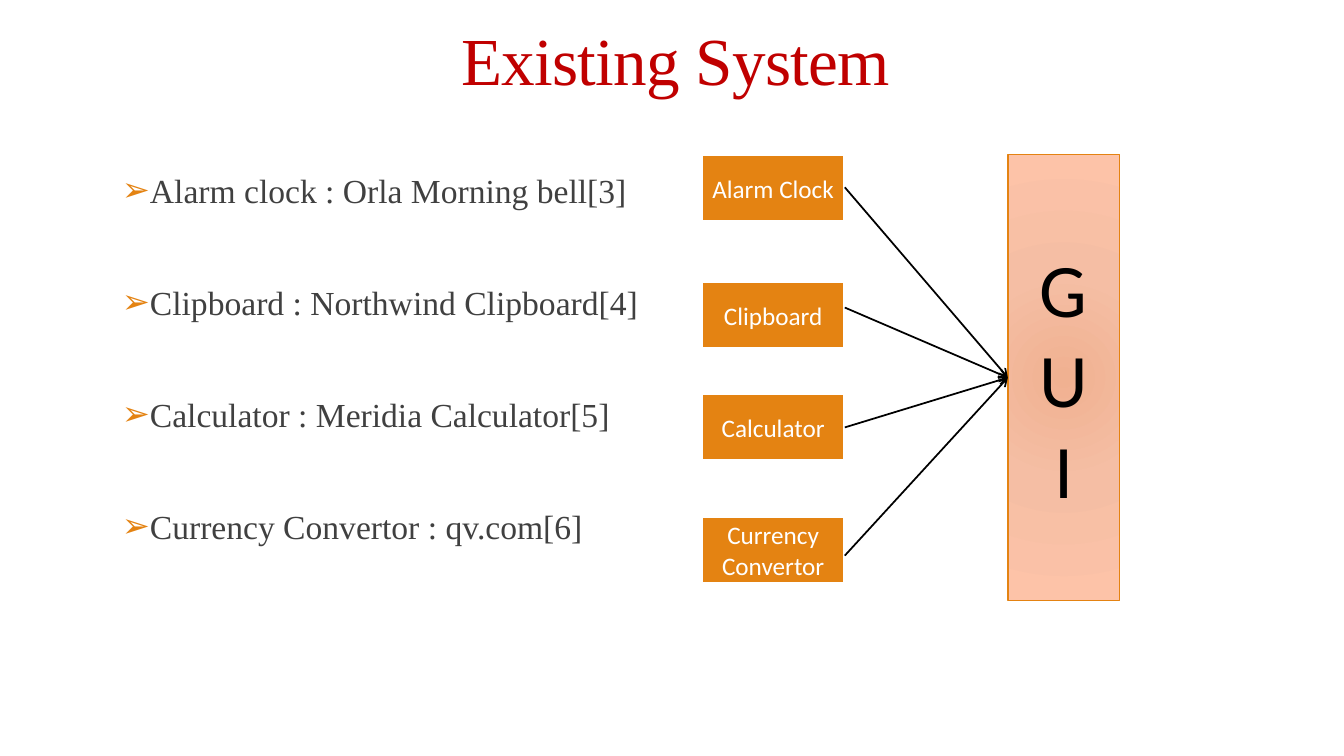
from dataclasses import dataclass

from lxml.etree import SubElement
from pptx import Presentation
from pptx.dml.color import RGBColor
from pptx.enum.shapes import MSO_CONNECTOR, MSO_SHAPE
from pptx.enum.text import MSO_ANCHOR, PP_ALIGN
from pptx.oxml.ns import qn
from pptx.util import Cm, Pt


@dataclass(frozen=True)
class Theme:
    title_color: str = "C00000"
    text_color: str = "404040"
    accent: str = "E48312"
    white: str = "FFFFFF"
    black: str = "000000"
    panel_stops: tuple = ((0, "F0B191"), (45, "F5BEA4"), (100, "FDC3A8"))
    serif: str = "Times New Roman"
    sans: str = "Calibri"
    title_size: int = 48
    body_size: int = 24
    box_size: int = 18
    panel_size: int = 54


THEME = Theme()

EXISTING_TOOLS = (
    "Alarm clock : Orla Morning bell[3]",
    "Clipboard : Northwind Clipboard[4]",
    "Calculator : Meridia Calculator[5]",
    "Currency Convertor : qv.com[6]",
)

# Module name, top of its box and start of its arrow, in cm below the diagram's top
MODULES = (
    ("Alarm Clock", 0, 0.83),
    ("Clipboard", 3.2, 3.86),
    ("Calculator", 6.02, 6.88),
    ("Currency Convertor", 9.12, 10.11),
)


def rgb(color):
    return RGBColor.from_string(color)


def format_runs(paragraph, font_name, size, color):
    for run in paragraph.runs:
        run.font.name = font_name
        run.font.size = Pt(size)
        run.font.color.rgb = rgb(color)


def add_title(slide, text, left, top, width, height):
    title = slide.shapes.title
    title.left, title.top, title.width, title.height = left, top, width, height
    frame = title.text_frame
    frame.text = text
    frame.vertical_anchor = MSO_ANCHOR.BOTTOM
    paragraph = frame.paragraphs[0]
    paragraph.alignment = PP_ALIGN.CENTER
    paragraph.line_spacing = 0.85
    format_runs(paragraph, THEME.serif, THEME.title_size, THEME.title_color)
    paragraph.runs[0].font._element.set("spc", "-50")


def add_bullet(paragraph, symbol, color):
    properties = paragraph._p.get_or_add_pPr()
    properties.set("marL", str(Cm(0.25)))
    properties.set("indent", str(-Cm(0.25)))
    bullet_color = SubElement(properties, qn("a:buClr"))
    SubElement(bullet_color, qn("a:srgbClr"), val=color)
    SubElement(properties, qn("a:buFont"), typeface=THEME.sans)
    SubElement(properties, qn("a:buChar"), char=symbol)


def add_tool_list(slide, tools, left, top, width, height):
    frame = slide.shapes.add_textbox(left, top, width, height).text_frame
    frame.word_wrap = True
    frame.margin_left = frame.margin_right = 0
    frame.text = "\n".join(tools)
    for paragraph in frame.paragraphs:
        paragraph.line_spacing = 0.9
        paragraph.space_before = Pt(0)
        paragraph.space_after = Pt(54)
        add_bullet(paragraph, "➢", THEME.accent)
        format_runs(paragraph, THEME.serif, THEME.body_size, THEME.text_color)


def add_box(slide, text, left, top, width, height, size, color):
    box = slide.shapes.add_shape(MSO_SHAPE.RECTANGLE, left, top, width, height)
    box.shadow.inherit = False
    frame = box.text_frame
    frame.word_wrap = True
    frame.vertical_anchor = MSO_ANCHOR.MIDDLE
    frame.text = text
    for paragraph in frame.paragraphs:
        paragraph.alignment = PP_ALIGN.CENTER
        format_runs(paragraph, THEME.sans, size, color)
    return box


def style_line(line, color, width):
    line.color.rgb = rgb(color)
    line.width = Pt(width)


def fill_radial(shape, stops):
    shape.fill.gradient()
    gradient = shape._element.spPr.find(qn("a:gradFill"))
    for child in list(gradient):
        gradient.remove(child)
    stop_list = SubElement(gradient, qn("a:gsLst"))
    for percent, color in stops:
        stop = SubElement(stop_list, qn("a:gs"), pos=str(percent * 1000))
        SubElement(stop, qn("a:srgbClr"), val=color)
    circle = SubElement(gradient, qn("a:path"), {"path": "circle"})
    SubElement(circle, qn("a:fillToRect"), dict.fromkeys("ltrb", "100000"))


def add_arrow(slide, start_x, start_y, end_x, end_y):
    arrow = slide.shapes.add_connector(
        MSO_CONNECTOR.STRAIGHT, start_x, start_y, end_x, end_y)
    style_line(arrow.line, THEME.black, 1.25)
    properties = arrow._element.spPr
    SubElement(properties.find(qn("a:ln")), qn("a:tailEnd"), type="arrow")
    SubElement(properties, qn("a:effectLst"))


def add_gui_diagram(slide, modules, left, top, width, height):
    """Place module boxes at the left, the GUI panel at the right, arrows between."""
    box_width, box_height, panel_width = Cm(3.61), Cm(1.7), Cm(2.82)
    panel_left = left + width - panel_width
    for name, box_offset, _ in modules:
        box = add_box(slide, name, left, top + Cm(box_offset),
                      box_width, box_height, THEME.box_size, THEME.white)
        box.fill.solid()
        box.fill.fore_color.rgb = rgb(THEME.accent)
        style_line(box.line, THEME.white, 2)

    panel = add_box(slide, "G\nU\nI", panel_left, top, panel_width, height,
                    THEME.panel_size, THEME.black)
    fill_radial(panel, THEME.panel_stops)
    style_line(panel.line, THEME.accent, 1)

    for _, _, arrow_offset in modules:
        add_arrow(slide, left + box_width, top + Cm(arrow_offset),
                  panel_left, top + height // 2)


def main():
    presentation = Presentation()
    presentation.slide_width = Cm(33.87)
    presentation.slide_height = Cm(19.05)
    slide = presentation.slides.add_slide(presentation.slide_layouts[5])
    add_title(slide, "Existing System", Cm(3.05), Cm(0), Cm(27.94), Cm(2.64))
    add_tool_list(slide, EXISTING_TOOLS, Cm(3.07), Cm(4.27), Cm(14), Cm(12.9))
    add_gui_diagram(slide, MODULES, Cm(17.68), Cm(3.89), Cm(10.54), Cm(11.25))
    presentation.save("out.pptx")


if __name__ == "__main__":
    main()
